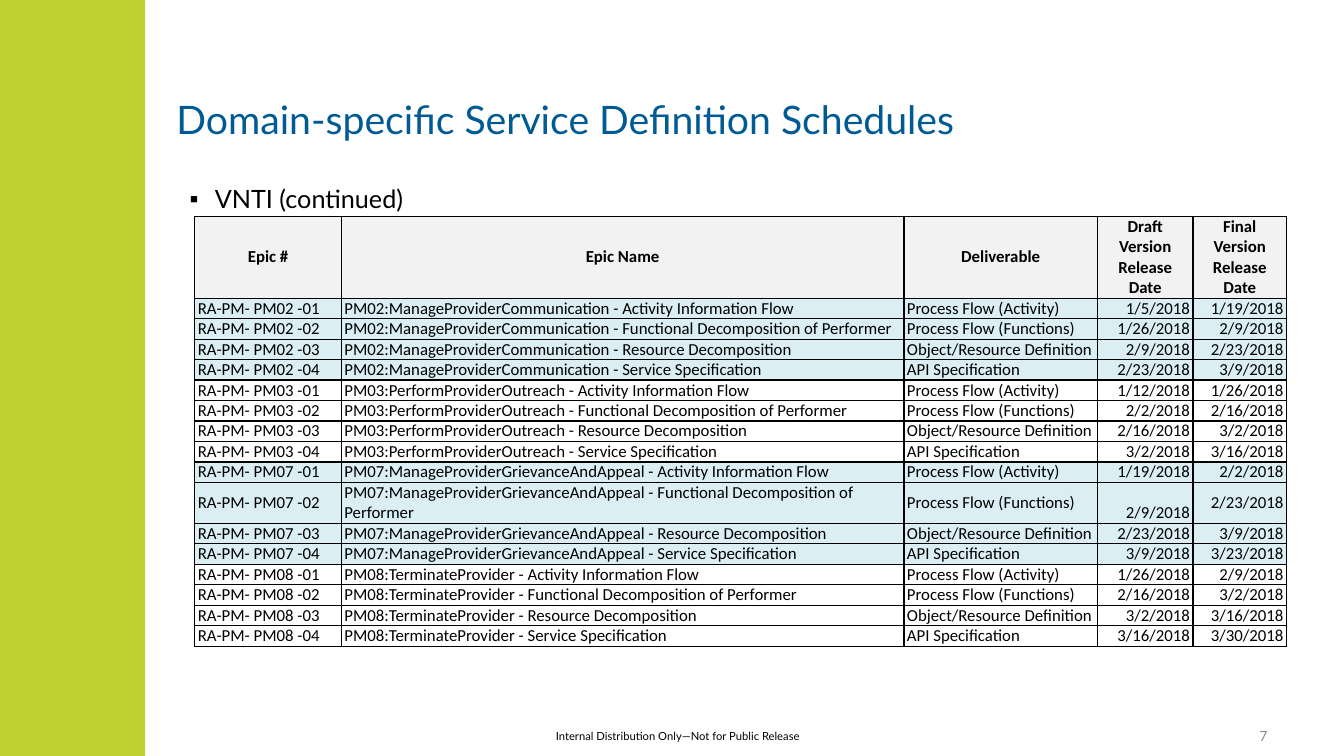
from itertools import product

from lxml.etree import SubElement
from pptx import Presentation
from pptx.dml.color import RGBColor
from pptx.enum.shapes import MSO_SHAPE
from pptx.enum.text import MSO_ANCHOR as Anchor, MSO_AUTO_SIZE as AutoSize, PP_ALIGN as Align
from pptx.oxml.ns import qn
from pptx.util import Inches, Pt

THEME = {
    "band": RGBColor.from_string("BED131"),
    "paper": RGBColor.from_string("FFFFFF"),
    "header": RGBColor.from_string("F2F2F2"),
    "shaded": RGBColor.from_string("DAEEF3"),
    "border": "000000",
    "title": {"name": "Lato", "size": Pt(28), "color": "005B94"},
    "bullet": {"name": "Lato", "size": Pt(18), "color": "000000"},
    "footer": {"name": "Lato", "size": Pt(8), "color": "000000"},
    "number": {"name": "Lato", "size": Pt(10), "color": "8C8C8C"},
    "heading": {"name": "Calibri", "size": Pt(12), "color": "000000", "bold": True},
    "entry": {"name": "Calibri", "size": Pt(12), "color": "000000", "bold": False},
}

WIDTH, HEIGHT = Inches(13.33), Inches(7.5)
LINE = 2.71  # height of one table line, in percent of the slide

HEADINGS = ["Epic #", "Epic Name", "Deliverable",
            "Draft Version Release Date", "Final Version Release Date"]
COLUMNS = [10.9, 41.86, 14.4, 7.11, 6.96]
EPICS = [("PM02", "ManageProviderCommunication"), ("PM03", "PerformProviderOutreach"),
         ("PM07", "ManageProviderGrievanceAndAppeal"), ("PM08", "TerminateProvider")]
# Step, deliverable, and weeks from the start of the epic to the draft
STEPS = [("Activity Information Flow", "Process Flow (Activity)", 0),
         ("Functional Decomposition of Performer", "Process Flow (Functions)", 3),
         ("Resource Decomposition", "Object/Resource Definition", 5),
         ("Service Specification", "API Specification", 7)]
REVIEW_WEEKS = 2
FRIDAYS = ["1/5", "1/12", "1/19", "1/26", "2/2", "2/9", "2/16",
           "2/23", "3/2", "3/9", "3/16", "3/23", "3/30"]


def share(left, top, width, height):
    """Turn percentages of the slide's size into lengths."""
    return [round(part * side / 100) for part, side in
            zip((left, top, width, height), (WIDTH, HEIGHT, WIDTH, HEIGHT))]


def write(holder, words, style, align=Align.LEFT, anchor=Anchor.MIDDLE):
    """Put one styled paragraph in a shape or cell and return the paragraph."""
    frame = holder.text_frame
    frame.word_wrap = True
    holder_with_anchor = holder if hasattr(holder, "vertical_anchor") else frame
    holder_with_anchor.vertical_anchor = anchor
    paragraph = frame.paragraphs[0]
    paragraph.alignment = align
    run = paragraph.add_run()
    run.text = words
    for key, value in THEME[style].items():
        if key == "color":
            run.font.color.rgb = RGBColor.from_string(value)
        else:
            setattr(run.font, key, value)
    return paragraph


deck = Presentation()
deck.slide_width, deck.slide_height = WIDTH, HEIGHT
slide = deck.slides.add_slide(deck.slide_layouts[1])
title, body = slide.placeholders

# Side band
band = slide.shapes.add_shape(MSO_SHAPE.RECTANGLE, *share(0, 0, 10.8, 100))
band.shadow.inherit = False
band.fill.solid()
band.fill.fore_color.rgb = THEME["band"]
band.line.fill.background()

# Title and bullet
for holder, area in ((title, (12.38, 10.53, 81.7, 10.4)), (body, (12.38, 22.8, 81.7, 66.53))):
    holder.left, holder.top, holder.width, holder.height = share(*area)
    holder.text_frame.auto_size = AutoSize.NONE
write(title, "Domain-specific Service Definition Schedules", "title")

body.fill.solid()
body.fill.fore_color.rgb = THEME["paper"]
vendor = write(body, "VNTI (continued)", "bullet", anchor=Anchor.TOP)
for key, value in {"line_spacing": 1.2, "space_before": Pt(0), "space_after": Pt(6)}.items():
    setattr(vendor, key, value)
bullet = vendor._p.get_or_add_pPr()
bullet.set("marL", str(Inches(0.38)))
bullet.set("indent", str(Inches(-0.25)))
SubElement(bullet, qn("a:buChar"), char="▪")

# Footer and slide number
for words, style, align, area in (
    ("Internal Distribution Only—Not for Public Release", "footer", Align.CENTER,
     (35.18, 95.73, 30.53, 3.2)),
    ("7", "number", Align.RIGHT, (75.02, 94.67, 20.03, 5.33)),
):
    write(slide.shapes.add_textbox(*share(*area)), words, style, align)

# Schedule: one row for each step of each epic
rows = [HEADINGS]
for (start, (code, name)), (step, (task, deliverable, wait)) in product(
        enumerate(EPICS), enumerate(STEPS, 1)):
    draft = start + wait
    rows.append([f"RA-PM- {code} -{step:02}", f"{code}:{name} - {task}", deliverable,
                 f"{FRIDAYS[draft]}/2018", f"{FRIDAYS[draft + REVIEW_WEEKS]}/2018"])

lines = [4] + [2 if "GrievanceAndAppeal - Functional" in row[1] else 1 for row in rows[1:]]
schedule = slide.shapes.add_table(
    len(rows), len(COLUMNS), *share(14.5, 28.6, sum(COLUMNS), LINE * sum(lines))).table
schedule.first_row = schedule.horz_banding = False
for column, width in zip(schedule.columns, COLUMNS):
    column.width = round(width * WIDTH / 100)
for table_row, count in zip(schedule.rows, lines):
    table_row.height = round(count * LINE * HEIGHT / 100)

MARGINS = {"margin_left": Inches(0.03), "margin_right": Inches(0.03),
           "margin_top": 0, "margin_bottom": 0}
for r, row in enumerate(rows):
    epic = (r - 1) // len(STEPS)
    for c, words in enumerate(row):
        cell = schedule.cell(r, c)
        for key, value in MARGINS.items():
            setattr(cell, key, value)
        if r == 0:
            write(cell, words, "heading", Align.CENTER)
        else:
            write(cell, words, "entry", Align.RIGHT if c >= 3 else Align.LEFT,
                  Anchor.BOTTOM if c == 3 and epic > 0 else Anchor.MIDDLE)
        for side in ("lnL", "lnR", "lnT", "lnB"):
            edge = SubElement(cell._tc.get_or_add_tcPr(), qn(f"a:{side}"), w=str(Pt(1)))
            SubElement(SubElement(edge, qn("a:solidFill")), qn("a:srgbClr"), val=THEME["border"])
        if r == 0 or epic % 2 == 0:
            cell.fill.solid()
            cell.fill.fore_color.rgb = THEME["header" if r == 0 else "shaded"]
        else:
            cell.fill.background()

deck.save("out.pptx")
